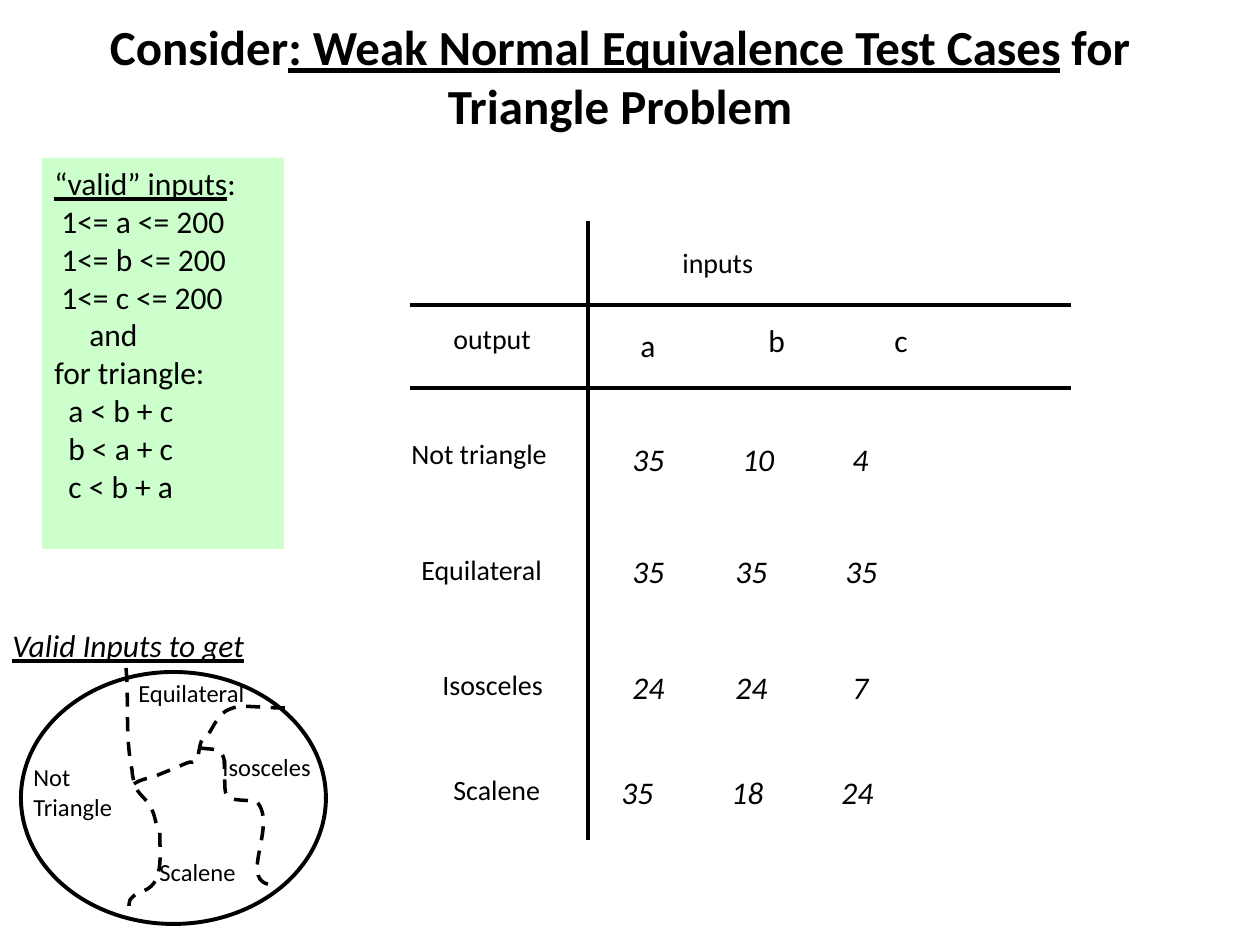
import pptx
import pptx.util
import pptx.dml.color
import pptx.enum.dml
import pptx.enum.shapes
import pptx.enum.text
import pptx.oxml
import pptx.oxml.ns
from lxml import etree

SCALE = 914400 / 126  # EMU per px
BLACK = pptx.dml.color.RGBColor(0, 0, 0)
WHITE = pptx.dml.color.RGBColor(255, 255, 255)
MINT = pptx.dml.color.RGBColor(0xCC, 0xFF, 0xCC)
SHAPES = pptx.enum.shapes.MSO_SHAPE

TITLE = [("Consider", False), (": Weak Normal Equivalence Test Cases", True),
         (" for Triangle Problem", False)]

# Rules for valid inputs: (indent, runs with underline flag)
RULES = [
    (0, [("“valid” inputs", True), (":", False)]),
    (7, [("1<= a <= 200", False)]),
    (7, [("1<= b <= 200", False)]),
    (7, [("1<= c <= 200", False)]),
    (35, [("and", False)]),
    (0, [("for triangle:", False)]),
    (14, [("a < b + c", False)]),
    (14, [("b < a + c", False)]),
    (14, [("c < b + a", False)]),
]

# Table headings and row names: (text, left, top, width, size)
HEADINGS = [
    ("output", 441, 315, 112, 16),
    ("Not triangle", 399, 430, 181, 16),
    ("Equilateral", 409, 546, 169, 16),
    ("Isosceles", 430, 661, 151, 16),
    ("Scalene", 441, 766, 131, 16),
    ("inputs", 670, 239, 110, 16),
    ("a", 628, 320, 43, 18),
    ("b", 756, 315, 44, 18),
    ("c", 882, 315, 43, 18),
]

# Test cases: (a, b, c values, left, top, width, tab stops)
TEST_CASES = [
    (("35", "10", "4"), 620, 434, 305, (110, 220)),
    (("35", "35", "35"), 620, 546, 314, (103, 213)),
    (("24", "24", "7"), 620, 662, 305, (103, 220)),
    (("35", "18", "24"), 609, 767, 323, (110, 220)),
]

# Table rules: (x1, y1, x2, y2)
TABLE_LINES = [(410, 305, 1071, 305), (410, 388, 1071, 388),
               (588, 221, 588, 840)]

# Region borders: start point, then Bezier segments (control, control, end)
BORDERS = [
    ((126, 668), [
        ((129, 702), (125, 737), (132, 770)),
        ((132, 774), (134, 784), (136, 788)),
        ((140, 796), (149, 801), (152, 810)),
        ((156, 818), (155, 825), (160, 832)),
        ((159, 853), (166, 886), (140, 892)),
        ((137, 893), (132, 897), (130, 900)),
        ((129, 902), (129, 906), (129, 906))]),
    ((134, 784), [
        ((141, 779), (147, 779), (156, 776)),
        ((165, 772), (171, 770), (180, 766)),
        ((200, 757), (185, 767), (198, 759)),
        ((198, 756), (200, 743), (202, 740)),
        ((203, 738), (205, 737), (207, 736)),
        ((212, 730), (215, 721), (222, 714)),
        ((227, 709), (234, 708), (239, 706)),
        ((282, 708), (266, 708), (290, 708))]),
    ((200, 748), [
        ((212, 750), (221, 747), (224, 759)),
        ((227, 801), (217, 799), (256, 801)),
        ((280, 825), (234, 885), (275, 885))]),
]

# Region names: (lines, left, top, width)
REGIONS = [
    (("Not", "Triangle"), 21, 756, 120),
    (("Equilateral",), 126, 672, 150),
    (("Scalene",), 147, 851, 117),
    (("Isosceles",), 210, 746, 135),
]


def px(value):
    return pptx.util.Emu(round(value * SCALE))


def box_px(*values):
    return [px(value) for value in values]


def style_font(font, size, **extra):
    formats = {"name": "Calibri", "size": pptx.util.Pt(size), **extra}
    for key, value in formats.items():
        setattr(font, key, value)
    font.color.rgb = BLACK


def style_line(line, width):
    line.color.rgb = BLACK
    line.width = pptx.util.Pt(width)


def add_text(slide, lines, left, top, width, size, tabs=(), **extra):
    height = 13 + round(len(lines) * size * 2.1)
    label = slide.shapes.add_textbox(*box_px(left, top, width, height))
    frame = label.text_frame
    frame.word_wrap = True
    for index, text in enumerate(lines):
        paragraph = frame.add_paragraph() if index else frame.paragraphs[0]
        if tabs:
            tab_list = etree.SubElement(paragraph._p.get_or_add_pPr(),
                                        pptx.oxml.ns.qn("a:tabLst"))
            for stop in tabs:
                etree.SubElement(tab_list, pptx.oxml.ns.qn("a:tab"),
                                 pos=str(px(stop)), algn="l")
        run = paragraph.add_run()
        run.text = text
        style_font(run.font, size, **extra)


def add_runs(paragraph, runs, size, **extra):
    for text, underline in runs:
        run = paragraph.add_run()
        run.text = text
        style_font(run.font, size, underline=underline, **extra)


def add_border(slide, start, segments):
    builder = slide.shapes.build_freeform(*box_px(*start))
    builder.add_line_segments(
        [box_px(*point) for segment in segments for point in segment], close=False)
    border = builder.convert_to_shape()
    # Join every three straight steps into one cubic curve
    steps = list(border._element.iter(pptx.oxml.ns.qn("a:lnTo")))
    for index in range(0, len(steps), 3):
        curve = etree.SubElement(steps[index].getparent(),
                                 pptx.oxml.ns.qn("a:cubicBezTo"))
        for step in steps[index:index + 3]:
            curve.append(step[0])
            step.getparent().remove(step)
    border.shadow.inherit = False
    border.fill.background()
    style_line(border.line, 2)
    border.line.dash_style = pptx.enum.dml.MSO_LINE.DASH


def main():
    deck = pptx.Presentation()
    deck.slide_width, deck.slide_height = box_px(1260, 945)
    slide = deck.slides.add_slide(deck.slide_layouts[5])

    # Title
    title = slide.shapes.title
    title.left, title.top, title.width, title.height = box_px(53, 0, 1134, 151)
    title.text_frame.vertical_anchor = pptx.enum.text.MSO_ANCHOR.MIDDLE
    heading = title.text_frame.paragraphs[0]
    heading.alignment = pptx.enum.text.PP_ALIGN.CENTER
    add_runs(heading, TITLE, 28, bold=True)

    # Panel of valid inputs
    panel = slide.shapes.add_shape(SHAPES.RECTANGLE, *box_px(42, 158, 242, 391))
    panel.shadow.inherit = False
    panel.fill.solid()
    panel.fill.fore_color.rgb = MINT
    panel.line.fill.background()
    frame = panel.text_frame
    frame.word_wrap = True
    frame.vertical_anchor = pptx.enum.text.MSO_ANCHOR.TOP
    for index, (indent, runs) in enumerate(RULES):
        rule = frame.add_paragraph() if index else frame.paragraphs[0]
        rule.alignment = pptx.enum.text.PP_ALIGN.LEFT
        rule._p.get_or_add_pPr().set("marL", str(px(indent)))
        add_runs(rule, runs, 18)

    # Test case table
    for ends in TABLE_LINES:
        table_line = slide.shapes.add_connector(
            pptx.enum.shapes.MSO_CONNECTOR.STRAIGHT, *box_px(*ends))
        style_line(table_line.line, 2)
        etree.SubElement(table_line._element.spPr, pptx.oxml.ns.qn("a:effectLst"))
    for text, left, top, width, size in HEADINGS:
        add_text(slide, [text], left, top, width, size)
    for values, left, top, width, tabs in TEST_CASES:
        add_text(slide, ["\t".join(values)], left, top, width, 18, tabs, italic=True)

    # Input regions
    domain = slide.shapes.add_shape(SHAPES.OVAL, *box_px(21, 672, 305, 252))
    domain.shadow.inherit = False
    domain.fill.solid()
    domain.fill.fore_color.rgb = WHITE
    style_line(domain.line, 2.25)
    for start, segments in BORDERS:
        add_border(slide, start, segments)
    for lines, left, top, width in REGIONS:
        add_text(slide, lines, left, top, width, 14)
    add_text(slide, ["Valid Inputs to get"], 0, 620, 299, 18,
             italic=True, underline=True)

    deck.save("out.pptx")


if __name__ == "__main__":
    main()
